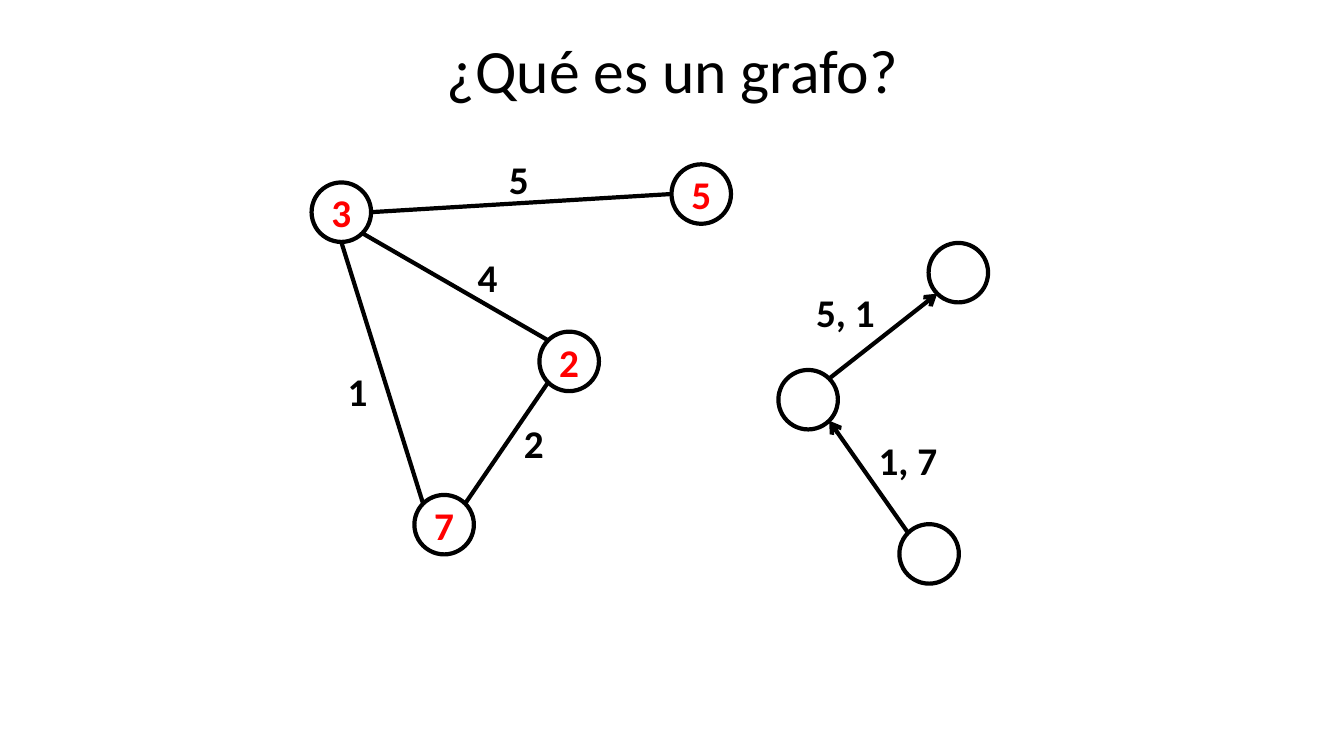
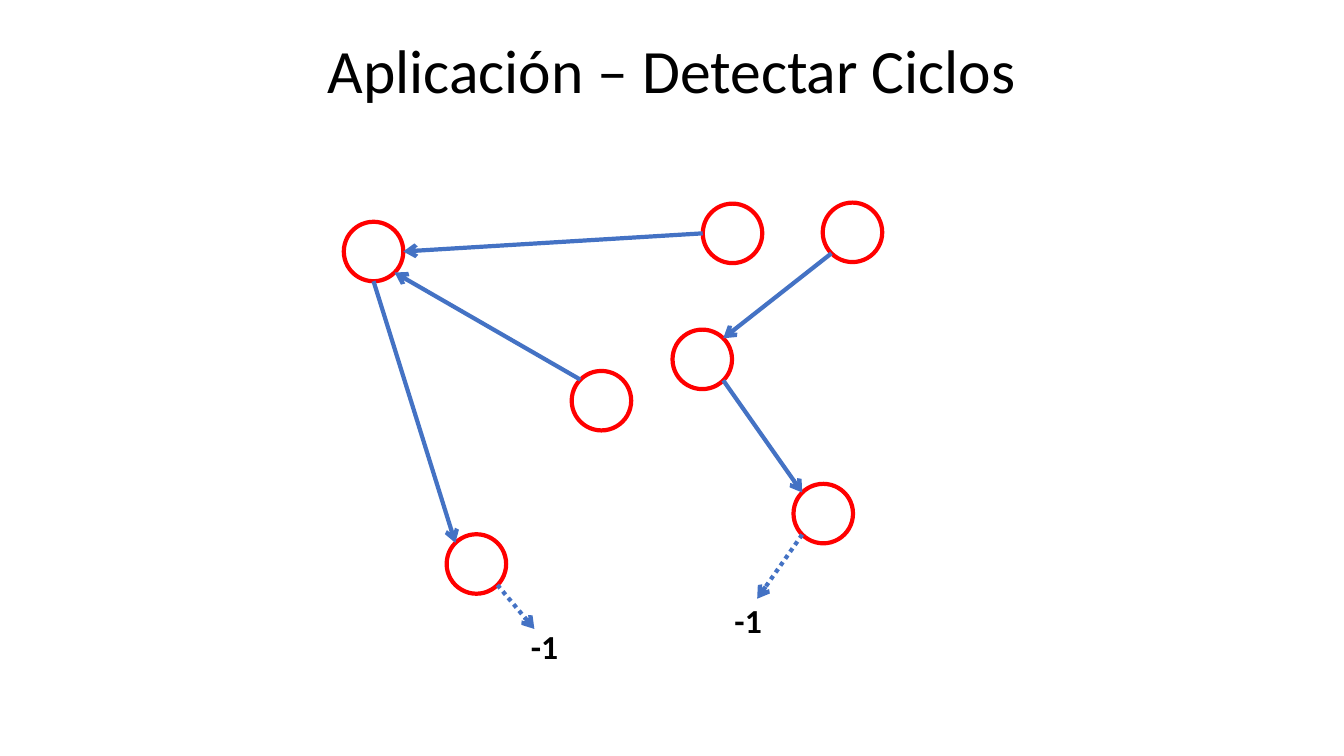
"""Build two slides of graph diagrams: weighted graphs and cycle detection."""
from math import cos, radians, sin

from lxml import etree
from pptx import Presentation
from pptx.dml.color import RGBColor
from pptx.enum.dml import MSO_LINE
from pptx.enum.shapes import MSO_CONNECTOR, MSO_SHAPE
from pptx.enum.text import MSO_ANCHOR, MSO_AUTO_SIZE, PP_ALIGN
from pptx.oxml.ns import qn
from pptx.util import Inches, Pt

CENTER, MIDDLE = PP_ALIGN.CENTER, MSO_ANCHOR.MIDDLE
GROW, DOTTED = MSO_AUTO_SIZE.SHAPE_TO_FIT_TEXT, MSO_LINE.ROUND_DOT
STRAIGHT, OVAL = MSO_CONNECTOR.STRAIGHT, MSO_SHAPE.OVAL

COLORS = {"black": "000000", "red": "FF0000", "blue": "4472C4"}
RGB = {name: RGBColor.from_string(value) for name, value in COLORS.items()}
NODE = 0.59
STROKE = Pt(3)
TOP, TOP_LEFT, LEFT, BOTTOM_LEFT, BOTTOM, BOTTOM_RIGHT, RIGHT, TOP_RIGHT = range(8)

SLIDES = [
    {
        "title": "¿Qué es un grafo?", "title_box": (3.54, 0, 6.26, 1.45),
        "node_color": "black", "edge_color": "black",
        "label_size": (0.99, 0.57), "label_pt": 28, "wrap": True,
        "nodes": {
            "a": (3.09, 1.81, "3"), "b": (6.66, 1.63, "5"),
            "c": (5.35, 3.29, "2"), "d": (7.72, 3.67, ""),
            "e": (8.92, 5.2, ""), "f": (9.21, 2.41, ""),
            "g": (4.11, 4.91, "7"),
        },
        "edges": [
            (("a", RIGHT), ("b", LEFT), False),
            (("g", TOP_RIGHT), ("c", BOTTOM_LEFT), False),
            (("c", TOP_LEFT), ("a", BOTTOM_RIGHT), False),
            (("g", TOP_LEFT), ("a", BOTTOM), False),
            (("d", TOP_RIGHT), ("f", BOTTOM_LEFT), True),
            (("e", TOP_LEFT), ("d", BOTTOM_RIGHT), True),
        ],
        "exits": [],
        "labels": [
            ("5", 4.65, 1.49), ("4", 4.34, 2.46), ("1", 3.05, 3.59),
            ("2", 4.8, 4.11), ("5, 1", 7.89, 2.81), ("1, 7", 8.51, 4.28),
        ],
    },
    {
        "title": "Aplicación – Detectar Ciclos", "title_box": (0, 0, 13.33, 1.45),
        "node_color": "red", "edge_color": "blue",
        "label_size": (0.48, 0.5), "label_pt": 24, "wrap": False,
        "nodes": {
            "a": (3.41, 2.2, ""), "b": (6.97, 2.02, ""),
            "c": (5.67, 3.68, ""), "d": (6.67, 3.27, ""),
            "e": (7.87, 4.8, ""), "f": (8.16, 2.01, ""),
            "g": (4.43, 5.3, ""),
        },
        "edges": [
            (("b", LEFT), ("a", RIGHT), True),
            (("f", BOTTOM_LEFT), ("d", TOP_RIGHT), True),
            (("c", TOP_LEFT), ("a", BOTTOM_RIGHT), True),
            (("a", BOTTOM), ("g", TOP_LEFT), True),
            (("d", BOTTOM_RIGHT), ("e", TOP_LEFT), True),
        ],
        "exits": [
            (("g", BOTTOM_RIGHT), (5.3, 6.24), True),
            (("e", BOTTOM_LEFT), (7.51, 5.94), True),
        ],
        "labels": [("-1", 5.16, 6.16), ("-1", 7.18, 5.9)],
    },
]


def write(tf, text, size, color, bold=True):
    """Write one centred line of text."""
    p = tf.paragraphs[0]
    p.alignment = CENTER
    r = p.add_run()
    r.text = text
    style = {"name": "Calibri", "size": Pt(size), "bold": bold}
    for key, value in style.items():
        setattr(r.font, key, value)
    r.font.color.rgb = RGB[color]
    return p


def site_point(node, site):
    """Give the point of a connection site, counted anticlockwise from the top."""
    angle = radians(90 + 45 * site)
    x, y = node[:2]
    return (x + NODE / 2 * (1 + cos(angle)), y + NODE / 2 * (1 - sin(angle)))


prs = Presentation()
prs.slide_width, prs.slide_height = Inches(13.33), Inches(7.5)

for data in SLIDES:
    s = prs.slides.add_slide(prs.slide_layouts[5])
    title = s.shapes.title
    for side, value in zip(("left", "top", "width", "height"), data["title_box"]):
        setattr(title, side, Inches(value))
    title.text_frame.vertical_anchor = MIDDLE
    write(title.text_frame, data["title"], 44, "black", False).line_spacing = 0.9

    ovals = {}
    for name, (x, y, text) in data["nodes"].items():
        sp = s.shapes.add_shape(OVAL, Inches(x), Inches(y), Inches(NODE), Inches(NODE))
        sp.shadow.inherit = False
        sp.fill.background()
        sp.line.color.rgb = RGB[data["node_color"]]
        sp.line.width = STROKE
        if text:
            tf = sp.text_frame
            tf.word_wrap = False
            tf.vertical_anchor = MIDDLE
            for side in ("left", "top", "right", "bottom"):
                setattr(tf, f"margin_{side}", 0)
            write(tf, text, 28, "red")
        ovals[name] = sp

    for start, end, directed in data["edges"] + data["exits"]:
        ends = {"a:stCxn": start, "a:endCxn": end}
        glued = {tag: e for tag, e in ends.items() if e[0] in ovals}
        points = [site_point(data["nodes"][e[0]], e[1]) if e[0] in ovals else e
                  for e in (start, end)]
        line = s.shapes.add_connector(STRAIGHT, *(Inches(v) for pt in points for v in pt))
        line.line.color.rgb = RGB[data["edge_color"]]
        line.line.width = STROKE
        if end[0] not in ovals:
            line.line.dash_style = DOTTED
        for tag, (name, site) in glued.items():
            etree.SubElement(line._element.nvCxnSpPr.cNvCxnSpPr, qn(tag),
                             id=str(ovals[name].shape_id), idx=str(site))
        spPr = line._element.spPr
        if directed:
            etree.SubElement(spPr.find(qn("a:ln")), qn("a:tailEnd"), type="arrow")
        etree.SubElement(spPr, qn("a:effectLst"))

    for text, x, y in data["labels"]:
        w, h = data["label_size"]
        box = s.shapes.add_textbox(Inches(x), Inches(y), Inches(w), Inches(h))
        box.text_frame.word_wrap = data["wrap"]
        box.text_frame.auto_size = GROW
        write(box.text_frame, text, data["label_pt"], "black")

prs.save("out.pptx")
